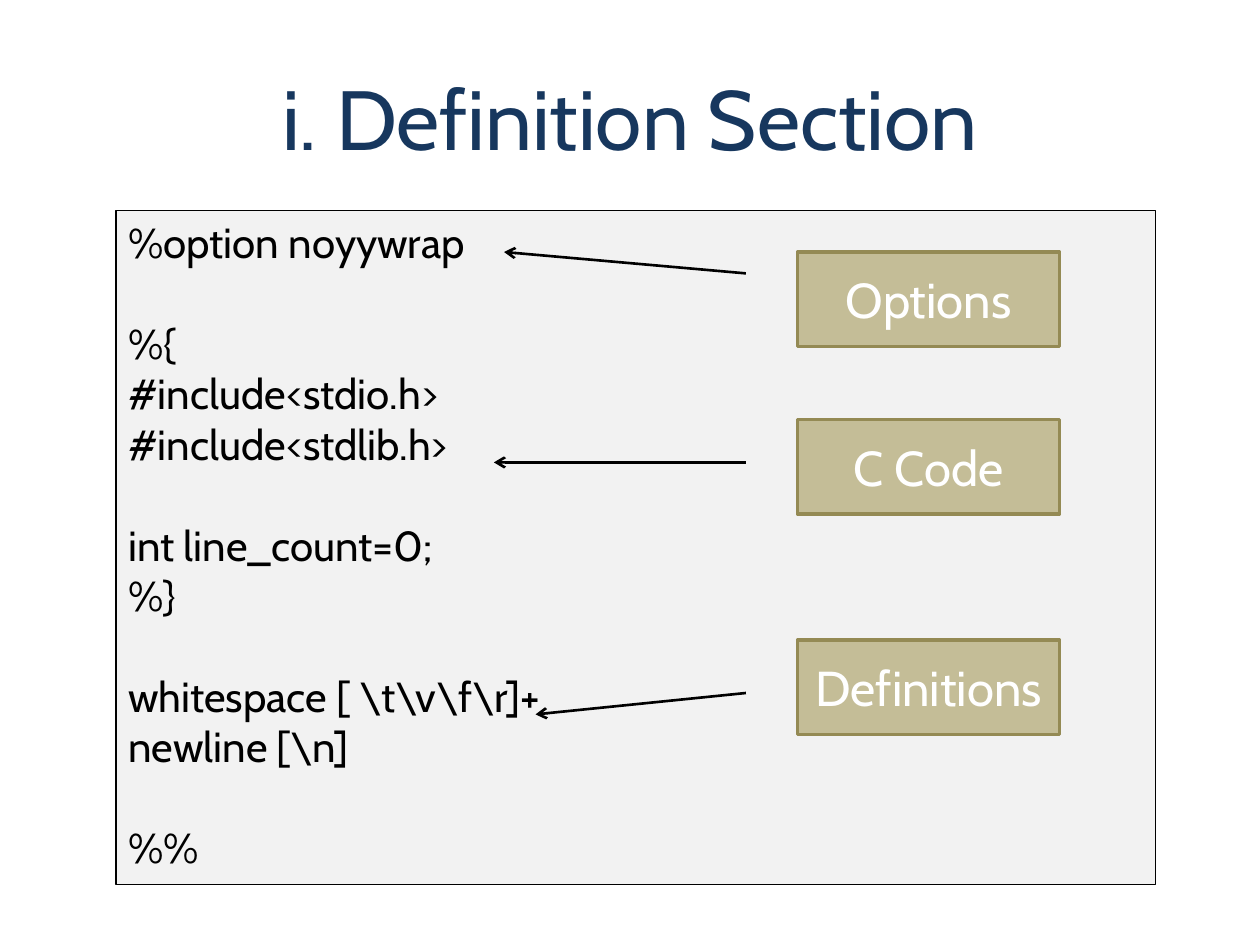
from dataclasses import dataclass

from lxml import etree
from pptx import Presentation
from pptx.dml.color import RGBColor
from pptx.enum.shapes import MSO_CONNECTOR, MSO_SHAPE
from pptx.enum.text import MSO_ANCHOR, PP_ALIGN
from pptx.oxml.ns import qn
from pptx.util import Inches, Pt


@dataclass(frozen=True)
class Theme:
    """Font, colours and type sizes of the slide."""
    font: str = "Cabin"
    title: str = "17375E"
    ink: str = "000000"
    panel: str = "F2F2F2"
    label_fill: str = "C4BD97"
    label_line: str = "948A54"
    label_text: str = "FFFFFF"
    title_size: float = 48
    code_size: float = 24
    label_size: float = 28
    code_line: float = 28.8


class SlideBuilder:
    """Draws styled elements on one slide."""

    def __init__(self, slide, theme):
        """Keep the slide and its theme."""
        self.slide = slide
        self.theme = theme

    def add_text(self, paragraph, text, size, color, align):
        """Put styled text in a paragraph."""
        paragraph.alignment = align
        run = paragraph.add_run()
        run.text = text
        run.font.name = self.theme.font
        run.font.size = Pt(size)
        run.font.color.rgb = RGBColor.from_string(color)

    def title(self, text, left, top, width, height):
        """Fill and place the title placeholder."""
        title = self.slide.shapes.title
        title.left, title.top = Inches(left), Inches(top)
        title.width, title.height = Inches(width), Inches(height)
        title.text_frame.vertical_anchor = MSO_ANCHOR.MIDDLE
        self.add_text(title.text_frame.paragraphs[0], text, self.theme.title_size,
                      self.theme.title, PP_ALIGN.CENTER)

    def box(self, left, top, width, height, fill, line, weight, anchor):
        """Add an outlined rectangle and return its text frame."""
        shape = self.slide.shapes.add_shape(
            MSO_SHAPE.RECTANGLE, Inches(left), Inches(top), Inches(width), Inches(height))
        shape.shadow.inherit = False
        shape.fill.solid()
        shape.fill.fore_color.rgb = RGBColor.from_string(fill)
        shape.line.color.rgb = RGBColor.from_string(line)
        shape.line.width = Pt(weight)
        frame = shape.text_frame
        frame.word_wrap = True
        frame.vertical_anchor = anchor
        return frame

    def code(self, blocks, left, top, width, height):
        """Add a code panel with one blank line's space between blocks."""
        theme = self.theme
        frame = self.box(left, top, width, height, theme.panel, theme.ink, 0.75, MSO_ANCHOR.TOP)
        paragraph = None
        for block in blocks:
            for number, text in enumerate(block):
                first = paragraph is None
                paragraph = frame.paragraphs[0] if first else frame.add_paragraph()
                if number == 0 and not first:
                    paragraph.space_before = Pt(theme.code_line)
                self.add_text(paragraph, text, theme.code_size, theme.ink, PP_ALIGN.LEFT)

    def label(self, text, left, top, width, height):
        """Add a centred label box."""
        theme = self.theme
        frame = self.box(left, top, width, height, theme.label_fill, theme.label_line, 2,
                         MSO_ANCHOR.MIDDLE)
        self.add_text(frame.paragraphs[0], text, theme.label_size, theme.label_text,
                      PP_ALIGN.CENTER)

    def arrow(self, start, end):
        """Add a straight line with an open arrowhead at its end."""
        connector = self.slide.shapes.add_connector(
            MSO_CONNECTOR.STRAIGHT, *map(Inches, start + end))
        connector.line.color.rgb = RGBColor.from_string(self.theme.ink)
        connector.line.width = Pt(1.5)
        properties = connector.element.spPr
        etree.SubElement(properties.find(qn("a:ln")), qn("a:tailEnd"), type="arrow")
        etree.SubElement(properties, qn("a:effectLst"))


CODE_BLOCKS = [
    ["%option noyywrap"],
    ["%{", "#include<stdio.h>", "#include<stdlib.h>"],
    ["int line_count=0;", "%}"],
    [r"whitespace [ \t\v\f\r]+", r"newline [\n]"],
    ["%%"],
]
# Label, its top, the height where its arrow starts, and the arrow's tip
CALLOUTS = [
    ("Options", 2, 2.17, (4, 2)),
    ("C Code", 3.33, 3.67, (3.92, 3.67)),
    ("Definitions", 5.08, 5.5, (4.25, 5.67)),
]
ARROW_LEFT = 5.92
LABEL_LEFT, LABEL_WIDTH, LABEL_HEIGHT = 6.33, 2.08, 0.75


def main():
    """Build and save the slide."""
    deck = Presentation()
    deck.slide_width, deck.slide_height = Inches(10), Inches(7.5)
    builder = SlideBuilder(deck.slides.add_slide(deck.slide_layouts[5]), Theme())
    builder.title("i. Definition Section", 0.5, 0.3, 9, 1.25)
    builder.code(CODE_BLOCKS, 0.92, 1.67, 8.25, 5.35)
    for _, _, start_y, tip in CALLOUTS:
        builder.arrow((ARROW_LEFT, start_y), tip)
    for text, top, _, _ in CALLOUTS:
        builder.label(text, LABEL_LEFT, top, LABEL_WIDTH, LABEL_HEIGHT)
    deck.save("out.pptx")


main()
